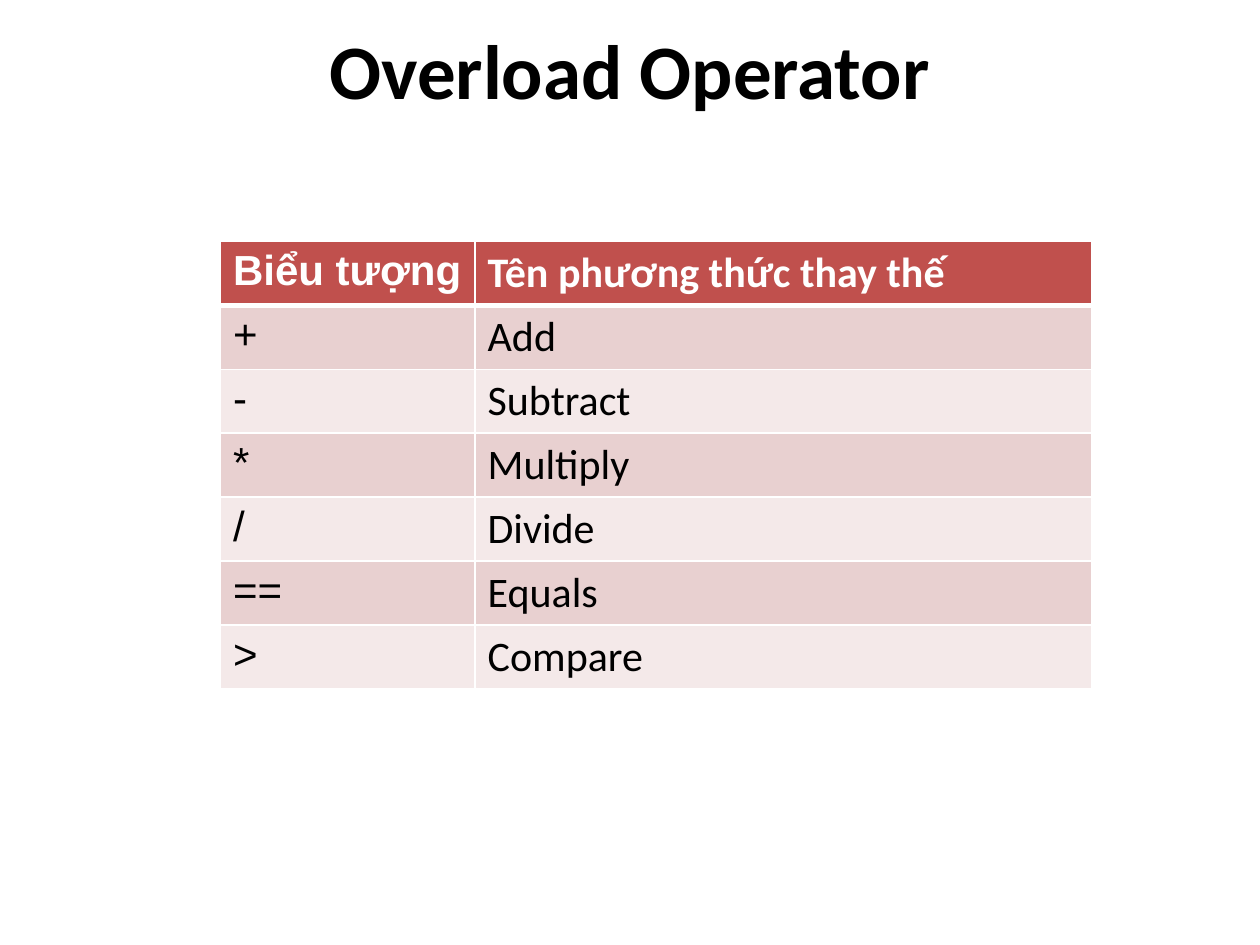
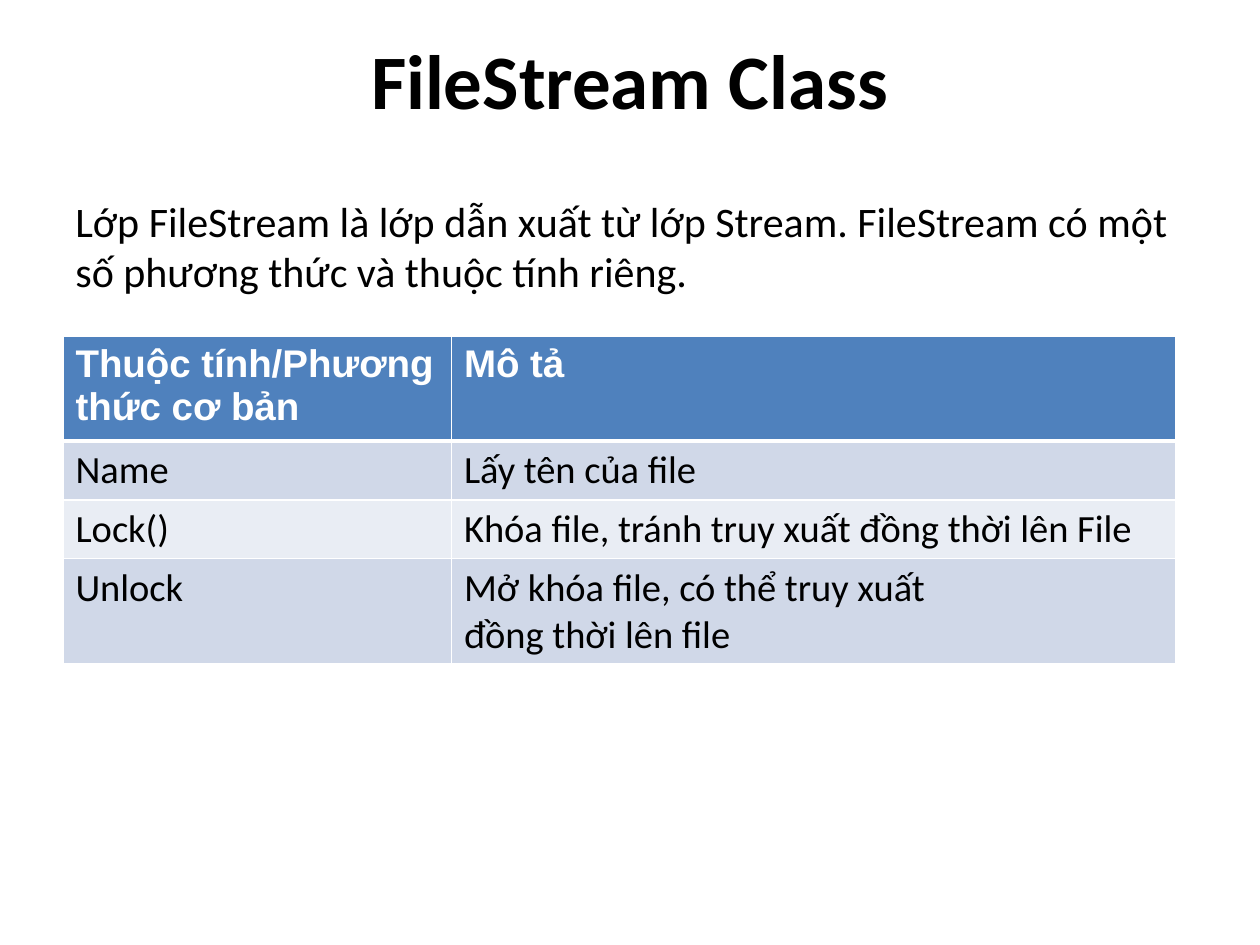
from lxml import etree
from pptx import Presentation
from pptx.dml.color import RGBColor
from pptx.enum.text import MSO_ANCHOR, PP_ALIGN
from pptx.oxml.ns import qn
from pptx.util import Inches, Pt

MIDDLE, TOP = MSO_ANCHOR.MIDDLE, MSO_ANCHOR.TOP
CENTER, LEFT = PP_ALIGN.CENTER, PP_ALIGN.LEFT
GRID = 12  # grid units to the inch
WHITE, BLACK = "FFFFFF", "000000"
SANS, BODY = "Arial", "Calibri"
RED = ("C0504D", "E8D0D0", "F4E9E9")  # header, odd rows, even rows
BLUE = ("4F81BD", "D0D8E8", "E9EDF4")
TITLE = {"name": BODY, "size": Pt(44), "bold": True}

SIGNS = [
    ("Biểu tượng", "Tên phương thức thay thế"),
    ("+", "Add"),
    ("-", "Subtract"),
    ("*", "Multiply"),
    ("/", "Divide"),
    ("==", "Equals"),
    (">", "Compare"),
]
MEMBERS = [
    ("Thuộc tính/Phương thức cơ bản", "Mô tả"),
    ("Name", "Lấy tên của file"),
    ("Lock()", "Khóa file, tránh truy xuất đồng thời lên File"),
    ("Unlock", "Mở khóa file, có thể truy xuất\nđồng thời lên file"),
]
INTRO = ("Lớp FileStream là lớp dẫn xuất từ lớp Stream. "
         "FileStream có một số phương thức và thuộc tính riêng.")


def unit(count):
    return Inches(count / GRID)


def color(code):
    return RGBColor.from_string(code)


def write(frame, text, style, ink=BLACK, align=LEFT, anchor=TOP):
    frame.text = text
    frame.word_wrap = True
    frame.vertical_anchor = anchor
    for para in frame.paragraphs:
        para.alignment = align
        para.font.color.rgb = color(ink)
        for key, value in style.items():
            setattr(para.font, key, value)


def add_page(deck, text, top):
    """Add a title-only slide whose title starts at the given grid row."""
    page = deck.slides.add_slide(deck.slide_layouts[5])
    title = page.shapes.title
    place = {"left": 6, "top": top, "width": 108, "height": 15}
    for key, value in place.items():
        setattr(title, key, unit(value))
    write(title.text_frame, text, TITLE, align=CENTER, anchor=MIDDLE)
    return page


def add_text(page, text, box, size):
    shape = page.shapes.add_textbox(*map(unit, box))
    write(shape.text_frame, text, {"name": BODY, "size": Pt(size)})


def edge(cell, row):
    """Draw white borders, with a thick rule under the header row."""
    widths = {"L": 1, "R": 1, "T": 3 if row == 1 else 1,
              "B": 3 if row == 0 else 1}
    props = cell._tc.get_or_add_tcPr()
    for side, width in widths.items():
        line = etree.SubElement(props, qn(f"a:ln{side}"), w=str(Pt(width)))
        fill = etree.SubElement(line, qn("a:solidFill"))
        etree.SubElement(fill, qn("a:srgbClr"), val=WHITE)


def add_grid(page, data, spot, cols, height, tones, size, font):
    """Add a banded table; font(row, col) gives the typeface of a cell."""
    box = (*spot, sum(cols), height * len(data))
    table = page.shapes.add_table(
        len(data), len(cols), *map(unit, box)).table
    for col, width in zip(table.columns, cols):
        col.width = unit(width)
    for row, texts in enumerate(data):
        head = row == 0
        tone = tones[0] if head else tones[2 - row % 2]
        for col, text in enumerate(texts):
            cell = table.cell(row, col)
            edge(cell, row)
            cell.fill.solid()
            cell.fill.fore_color.rgb = color(tone)
            style = {"name": font(row, col), "size": Pt(size), "bold": head}
            write(cell.text_frame, text, style, WHITE if head else BLACK)


def main():
    deck = Presentation()
    deck.slide_width, deck.slide_height = Inches(10), Inches(7.5)

    page = add_page(deck, "Overload Operator", -1)
    add_grid(page, SIGNS, (21, 23), (24.25, 58.75), 6, RED, 24,
             lambda row, col: SANS if col == 0 else BODY)

    page = add_page(deck, "FileStream Class", 0)
    add_text(page, INTRO, (6, 18, 108, 11), 24)
    add_grid(page, MEMBERS, (6, 32), (37, 69), 5, BLUE, 22,
             lambda row, col: SANS if row == 0 else BODY)

    deck.save("out.pptx")


if __name__ == "__main__":
    main()
